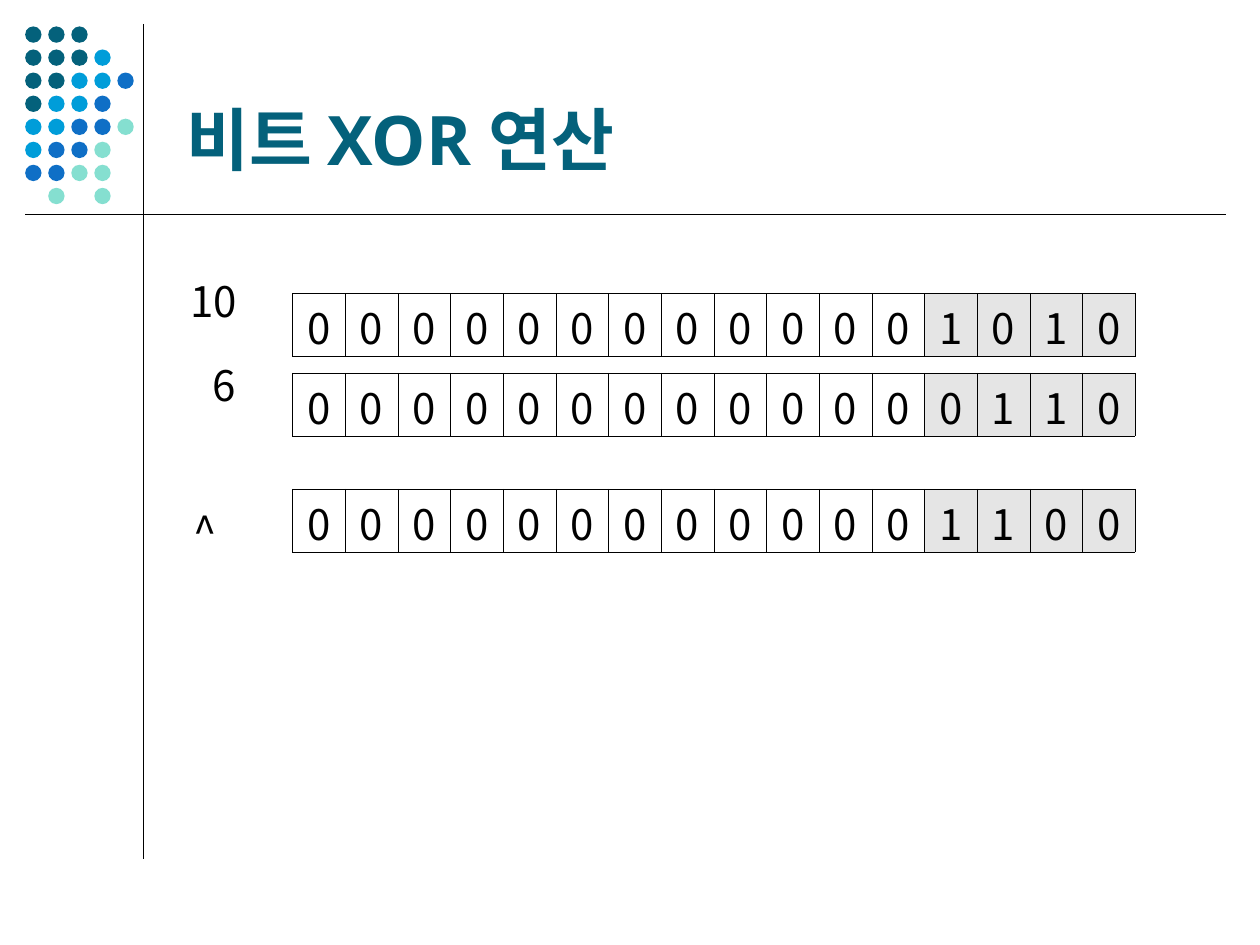
from lxml.etree import SubElement
from pptx import Presentation
from pptx.dml.color import RGBColor
from pptx.enum.shapes import MSO_CONNECTOR, MSO_SHAPE
from pptx.enum.text import MSO_ANCHOR as Anchor, PP_ALIGN as Align
from pptx.oxml import parse_xml
from pptx.oxml.ns import nsdecls, qn
from pptx.util import Inches, Pt

BLACK, TEAL, SHADE = "000000", "04617B", "E5E5E5"
FONT = "Noto Sans CJK KR"
DOTS = {"t": TEAL, "s": "009DD9", "b": "0F6FC6", "m": "85DFD0"}
DOT_ROWS = ["ttt", "ttts", "ttssb", "tssb", "ssbbm", "sbbm", "bbmm", " m m"]
STEP, DOT = 0.183, 0.13
BITS, LOW = 16, 4
ROW_LEFT, ROW_WIDTH, ROW_HEIGHT = 2.32, 6.69, 0.5


def color(text):
    return RGBColor.from_string(text)


def style(para, size, name, tone, bold=False):
    for run in para.runs:
        font = run.font
        font.size, font.name, font.bold = Pt(size), name, bold
        font.color.rgb = color(tone)
        SubElement(run._r.get_or_add_rPr(), qn("a:ea"), typeface=FONT)


def add_rule(slide, x1, y1, x2, y2):
    rule = slide.shapes.add_connector(
        MSO_CONNECTOR.STRAIGHT, *map(Inches, (x1, y1, x2, y2)))
    rule.line.color.rgb = color(BLACK)
    rule.line.width = Pt(0.75)
    SubElement(rule._element.spPr, qn("a:effectLst"))


def add_dots(slide):
    for row, marks in enumerate(DOT_ROWS):
        for col, mark in enumerate(marks):
            if mark == " ":
                continue
            dot = slide.shapes.add_shape(
                MSO_SHAPE.OVAL, Inches(0.2 + col * STEP),
                Inches(0.21 + row * STEP), Inches(DOT), Inches(DOT))
            dot.shadow.inherit = False
            dot.fill.solid()
            dot.fill.fore_color.rgb = color(DOTS[mark])
            dot.line.fill.background()


def set_title(slide, text):
    title = slide.shapes.title
    title.left, title.top = Inches(1.38), Inches(0.21)
    title.width, title.height = Inches(8.25), Inches(1.26)
    frame = title.text_frame
    frame.text = text
    frame.vertical_anchor = Anchor.BOTTOM
    frame.paragraphs[0].alignment = Align.LEFT
    style(frame.paragraphs[0], 39, "Noto Sans", TEAL, True)


def add_label(slide, text, left, top):
    box = slide.shapes.add_textbox(
        Inches(left), Inches(top), Inches(0.75), Inches(0.5))
    frame = box.text_frame
    frame.text = text
    frame.word_wrap = True
    frame.vertical_anchor = Anchor.MIDDLE
    style(frame.paragraphs[0], 24, FONT, BLACK)


def add_borders(cell):
    props = cell._tc.get_or_add_tcPr()
    for at, side in enumerate(("lnL", "lnR", "lnT", "lnB")):
        props.insert(at, parse_xml(
            f'<a:{side} {nsdecls("a")} w="{Pt(0.06)}"><a:solidFill>'
            f'<a:srgbClr val="{BLACK}"/></a:solidFill></a:{side}>'))


def add_bits(slide, value, top):
    """Draw a value as a row of bits, with the low bits shaded."""
    table = slide.shapes.add_table(
        1, BITS, Inches(ROW_LEFT), Inches(top),
        Inches(ROW_WIDTH), Inches(ROW_HEIGHT)).table
    table.first_row = table.horz_banding = False
    for col, bit in enumerate(f"{value:0{BITS}b}"):
        table.columns[col].width = Inches(ROW_WIDTH / BITS)
        cell = table.cell(0, col)
        cell.text = bit
        cell.vertical_anchor = Anchor.MIDDLE
        # Slim margins keep the line of text within the row height.
        cell.margin_top, cell.margin_bottom = Inches(0.02), 0
        if col < BITS - LOW:
            cell.fill.background()
        else:
            cell.fill.solid()
            cell.fill.fore_color.rgb = color(SHADE)
        add_borders(cell)
        para = cell.text_frame.paragraphs[0]
        para.alignment = Align.CENTER
        style(para, 24, FONT, BLACK)


def main():
    deck = Presentation()
    deck.slide_width, deck.slide_height = Inches(10), Inches(7.5)
    slide = deck.slides.add_slide(deck.slide_layouts[5])
    add_rule(slide, 1.14, 0.19, 1.14, 6.82)
    add_dots(slide)
    add_rule(slide, 0.2, 1.7, 9.73, 1.7)
    set_title(slide, "비트 XOR 연산")
    for text, left, label_top, value, row_top in (
            ("10", 1.41, 2.14, 10, 2.33),
            ("6", 1.59, 2.8, 6, 2.96),
            ("^", 1.44, 3.96, 10 ^ 6, 3.88)):
        add_label(slide, text, left, label_top)
        add_bits(slide, value, row_top)
    deck.save("out.pptx")


if __name__ == "__main__":
    main()
